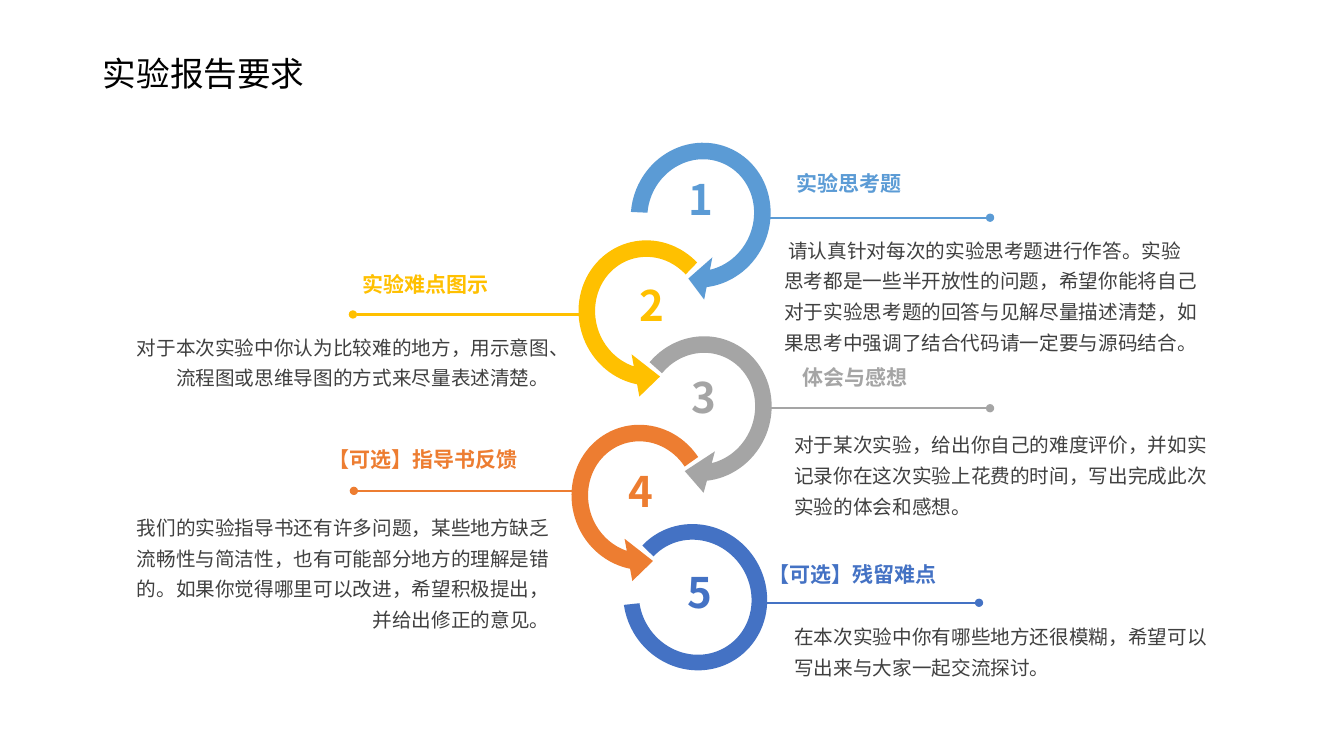
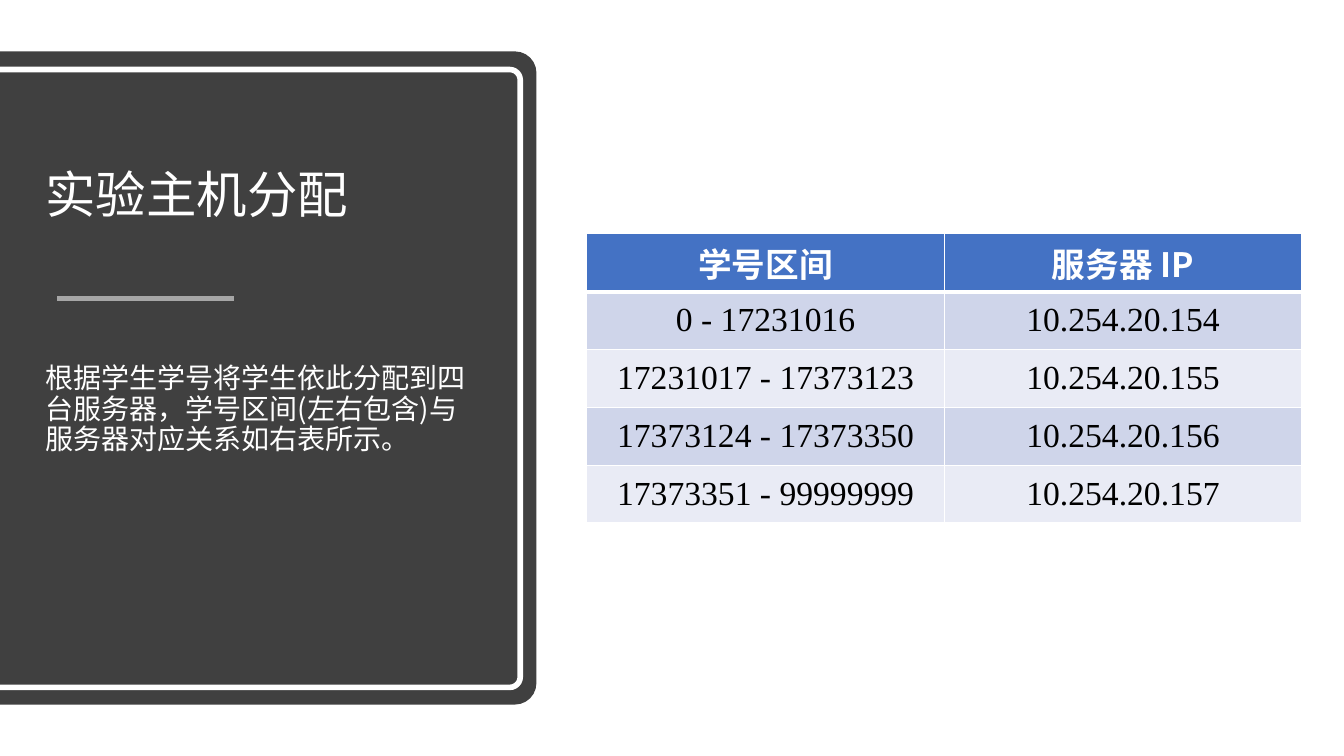
from dataclasses import dataclass

from lxml.etree import SubElement
from pptx import Presentation
from pptx.dml.color import RGBColor
from pptx.enum.shapes import MSO_CONNECTOR as CONNECTOR, MSO_SHAPE as SHAPE
from pptx.enum.text import MSO_ANCHOR as ANCHOR, MSO_AUTO_SIZE as AUTO_SIZE, PP_ALIGN as ALIGN
from pptx.oxml.ns import qn
from pptx.util import Inches, Pt

SANS, SERIF = "Noto Sans CJK SC", "Times New Roman"
WHITE, BLACK, DARK, RULE = "FFFFFF", "000000", "404040", "A6A6A6"
BLUE, YELLOW, GRAY, ORANGE, NAVY = "5B9BD5", "FFC000", "A5A5A5", "ED7D31", "4472C4"
BANDS = ("CFD5EA", "E9EBF5")
RING_SIZE, ARC_SIZE = (1.64, 1.71), (1.47, 1.41)
LINE_LENGTH, BODY_WIDTH = 2.25, 4.3


@dataclass
class Step:
    """One numbered step; offsets count from the corner of its ring."""
    color: str
    caption: str
    body: str
    corner: tuple
    number_offset: tuple
    line_offset: tuple
    caption_offset: tuple
    caption_width: float
    body_offset: tuple
    body_height: float
    angles: tuple
    on_left: bool = False
    indent: float = 0


STEPS = [
    Step(BLUE, "实验思考题",
         "请认真针对每次的实验思考题进行作答。实验思考都是一些半开放性的问题，希望你能将自己"
         "对于实验思考题的回答与见解尽量描述清楚，如果思考中强调了结合代码请一定要与源码结合。",
         (6.13, 1.28), (0.6, 0.39), (1.44, 0.88), (1.67, 0.36), 1.91, (1.55, 0.97), 1.3,
         (10.69, 36.66, 96.33), indent=0.04),
    Step(YELLOW, "实验难点图示",
         "对于本次实验中你认为比较难的地方，用示意图、流程图或思维导图的方式来尽量表述清楚。",
         (5.61, 2.25), (0.63, 0.47), (0.14, 0.87), (-2.11, 0.39), 1.78, (-4.36, 0.96), 0.69,
         (13.21, 36.66, 125.17), on_left=True),
    Step(GRAY, "体会与感想",
         "对于某次实验，给出你自己的难度评价，并如实记录你在这次实验上花费的时间，"
         "写出完成此次实验的体会和感想。",
         (6.14, 3.2), (0.62, 0.44), (1.43, 0.85), (1.72, 0.37), 1.52, (1.64, 0.98), 1,
         (13.21, 36.66, 119.8)),
    Step(ORANGE, "【可选】指导书反馈",
         "我们的实验指导书还有许多问题，某些地方缺乏流畅性与简洁性，也有可能部分地方的理解是错的。"
         "如果你觉得哪里可以改进，希望积极提出，并给出修正的意见。",
         (5.54, 4.08), (0.6, 0.49), (0.22, 0.79), (-2.38, 0.3), 2.55, (-4.29, 0.92), 1.29,
         (13.21, 36.66, 118.87), on_left=True),
    Step(NAVY, "【可选】残留难点",
         "在本次实验中你有哪些地方还很模糊，希望可以写出来与大家一起交流探讨。",
         (6.16, 5.22), (0.56, 0.35), (1.3, 0.76), (1.36, 0.3), 2.29, (1.62, 0.86), 0.71,
         (100.86, 70.52)),
]

SERVERS = [
    ("学号区间", "服务器 IP"),
    ("0 - 17231016", "10.254.20.154"),
    ("17231017 - 17373123", "10.254.20.155"),
    ("17373124 - 17373350", "10.254.20.156"),
    ("17373351 - 99999999", "10.254.20.157"),
]


def rgb(color):
    """Turn a hex string into a colour."""
    return RGBColor.from_string(color)


def inches(*lengths):
    """Turn numbers into lengths."""
    return [Inches(length) for length in lengths]


def write(frame, text, size=14, color=DARK, font=SANS, bold=False, align=ALIGN.LEFT,
          spacing=1.0, indent=0):
    """Fill a text frame with one formatted paragraph."""
    paragraph = frame.paragraphs[0]
    paragraph.alignment = align
    paragraph.line_spacing = spacing
    if indent:
        paragraph._p.get_or_add_pPr().set("indent", str(Inches(indent)))
    run = paragraph.add_run()
    run.text = text
    run.font.size = Pt(size)
    run.font.bold = bold
    run.font.name = font
    run.font.color.rgb = rgb(color)
    SubElement(run.font._element, qn("a:ea")).set("typeface", font)


def add_text(slide, box, text, **text_format):
    """Add a wrapping text box."""
    frame = slide.shapes.add_textbox(*inches(*box)).text_frame
    frame.word_wrap = True
    write(frame, text, **text_format)


def add_title(slide, box, text, size, color):
    """Move the title placeholder into its box, in front, and format it."""
    title = slide.shapes.title
    slide.shapes._spTree.append(title._element)
    title.left, title.top, title.width, title.height = inches(*box)
    title.text_frame.vertical_anchor = ANCHOR.MIDDLE
    title.text_frame.auto_size = AUTO_SIZE.NONE
    write(title.text_frame, text, size=size, color=color, spacing=0.9)


def add_shape(slide, kind, box, adjustments, rotation, fill=None, line=None):
    """Add a preset shape with a plain fill or a plain outline."""
    shape = slide.shapes.add_shape(kind, *inches(*box))
    shape.shadow.inherit = False
    shape.rotation = rotation
    for index, value in enumerate(adjustments):
        shape.adjustments[index] = value
    if fill:
        shape.fill.solid()
        shape.fill.fore_color.rgb = rgb(fill)
    else:
        shape.fill.background()
    if line:
        shape.line.color.rgb = rgb(line)
        shape.line.width = Pt(4)
    else:
        shape.line.fill.background()
    return shape


def add_line(slide, start, end, color, width, dot=False):
    """Add a straight line, with a dot at its end if asked."""
    line = slide.shapes.add_connector(CONNECTOR.STRAIGHT, *inches(*start, *end))
    line.line.color.rgb = rgb(color)
    line.line.width = Pt(width)
    if dot:
        SubElement(line.line._get_or_add_ln(), qn("a:tailEnd")).set("type", "oval")
    SubElement(line._element.spPr, qn("a:effectLst"))


def add_ring(slide, step):
    """Draw the curved arrow of a step, or the closing arc."""
    if len(step.angles) == 2:
        add_shape(slide, SHAPE.BLOCK_ARC, (*step.corner, *ARC_SIZE), (*step.angles, 0.11),
                  56.3, fill=step.color)
        return
    ring = add_shape(slide, SHAPE.CIRCULAR_ARROW, (*step.corner, *RING_SIZE),
                     (0.1, *step.angles, 0.13), 342.7 if step.on_left else 22.1, fill=step.color)
    if step.on_left:
        ring._element.spPr.find(qn("a:xfrm")).set("flipH", "1")


def add_step(slide, number, step):
    """Place line, ring, number, caption and body of a step."""
    def place(offset):
        """Move an offset to the ring's corner."""
        return step.corner[0] + offset[0], step.corner[1] + offset[1]

    x, y = place(step.line_offset)
    end = x - LINE_LENGTH if step.on_left else x + LINE_LENGTH
    add_line(slide, (x, y), (end, y), step.color, 1.5, dot=True)
    add_ring(slide, step)
    add_text(slide, (*place(step.number_offset), 0.53, 0.77), str(number),
             size=30, color=step.color, bold=True)
    add_text(slide, (*place(step.caption_offset), step.caption_width, 0.45), step.caption,
             size=15, color=step.color, bold=True)
    add_text(slide, (*place(step.body_offset), BODY_WIDTH, step.body_height), step.body,
             spacing=1.3, indent=step.indent,
             align=ALIGN.RIGHT if step.on_left else ALIGN.LEFT)


def add_panel_shape(slide, box, radius, **paint):
    """Add a rectangle whose right corners are round."""
    left, top, width, height = box
    shift = (width - height) / 2
    add_shape(slide, SHAPE.ROUND_2_SAME_RECTANGLE, (left + shift, top - shift, height, width),
              (radius, 0), 90, **paint)


def add_panel(slide, box, title, body):
    """Build the dark side panel with its title, rule and body."""
    left, top, width, height = box
    add_panel_shape(slide, box, 0.04, fill=DARK)
    add_panel_shape(slide, (left - 0.04, top + 0.18, width - 0.12, height - 0.35), 0.02, line=WHITE)
    rule_y = top + 2.45
    add_line(slide, (left + 0.57, rule_y), (left + 2.32, rule_y), RULE, 4)
    add_title(slide, (left + 0.35, top + 0.56, 4.48, 1.78), title, 36, WHITE)
    add_text(slide, (left + 0.35, top + 3.06, 4.48, 2.86), body, size=20, color=WHITE, spacing=0.9)


def add_borders(cell, top, bottom):
    """Give a cell white borders, in points."""
    properties = cell._tc.get_or_add_tcPr()
    for side, width in (("L", 1), ("R", 1), ("T", top), ("B", bottom)):
        border = SubElement(properties, qn("a:ln" + side), w=str(Pt(width)))
        fill = SubElement(border, qn("a:solidFill"))
        SubElement(fill, qn("a:srgbClr")).set("val", WHITE)


def add_server_table(slide, box, rows):
    """Build the banded table with its header row."""
    table = slide.shapes.add_table(len(rows), len(rows[0]), *inches(*box)).table
    for row_index, texts in enumerate(rows):
        header = row_index == 0
        for column_index, text in enumerate(texts):
            cell = table.cell(row_index, column_index)
            add_borders(cell, 3 if row_index == 1 else 1, 3 if header else 1)
            cell.fill.solid()
            cell.fill.fore_color.rgb = rgb(NAVY if header else BANDS[(row_index - 1) % 2])
            cell.vertical_anchor = ANCHOR.MIDDLE
            write(cell.text_frame, text, size=24, color=WHITE if header else BLACK,
                  font=SANS if header else SERIF, bold=header, align=ALIGN.CENTER)


def build_report_slide(slide):
    """Build the slide with the five report steps."""
    add_title(slide, (0.92, 0.4, 11.5, 0.71), "实验报告要求", 24, BLACK)
    for number, step in enumerate(STEPS, 1):
        add_step(slide, number, step)


def build_server_slide(slide):
    """Build the slide with the server table."""
    add_panel(slide, (0, 0.51, 5.32, 6.48), "实验主机分配",
              "根据学生学号将学生依此分配到四台服务器，学号区间(左右包含)与服务器对应关系如右表所示。")
    add_server_table(slide, (5.82, 2.32, 7.09, 2.87), SERVERS)


def main():
    """Build and save the presentation."""
    presentation = Presentation()
    presentation.slide_width, presentation.slide_height = inches(13.33, 7.5)
    title_only = presentation.slide_layouts[5]
    for build in (build_report_slide, build_server_slide):
        slide = presentation.slides.add_slide(title_only)
        slide.background.fill.solid()
        slide.background.fill.fore_color.rgb = rgb(WHITE)
        build(slide)
    presentation.save("out.pptx")


main()
